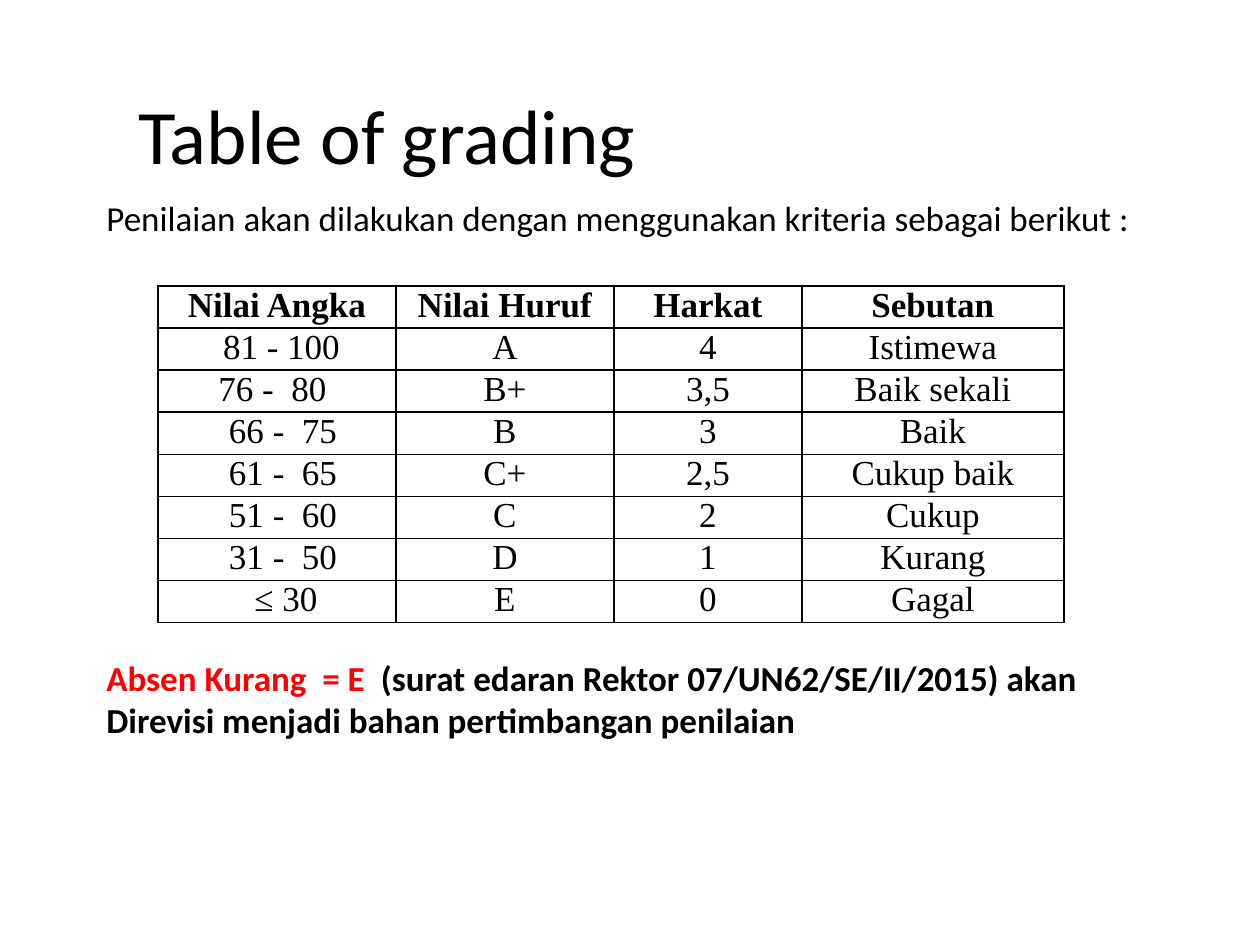
from lxml.etree import SubElement
from pptx import Presentation
from pptx.dml.color import RGBColor
from pptx.enum.text import MSO_ANCHOR as Anchor, PP_ALIGN as Align
from pptx.oxml.ns import qn
from pptx.util import Emu, Pt

PX = 914400 / 126
BLACK, RED = "000000", "FF0000"
INSET = 9
COLUMN_WIDTHS = [238, 218, 188, 262]
ROW_HEIGHT = 39

HEADER = ["Nilai Angka", "Nilai Huruf", "Harkat", "Sebutan"]
GRADES = [
    ["81 - 100", "A", "4", "Istimewa"],
    ["76 -  80", "B+", "3,5", "Baik sekali"],
    ["66 -  75", "B", "3", "Baik"],
    ["61 -  65", "C+", "2,5", "Cukup baik"],
    ["51 -  60", "C", "2", "Cukup"],
    ["31 -  50", "D", "1", "Kurang"],
    ["≤ 30", "E", "0", "Gagal"],
]
# Alignment, left indent and right indent of each score range
RANGE_LAYOUT = [
    (Align.CENTER, 9, 0),
    (Align.CENTER, 0, 9),
    *[(Align.LEFT, 62, 0)] * 4,
    (Align.CENTER, 18, 0),
]


def px(length):
    return Emu(round(length * PX))


def color(value):
    return RGBColor.from_string(value)


def style_font(font, size, name="Calibri", bold=False, fill=BLACK):
    font.size, font.name, font.bold = Pt(size), name, bold
    font.color.rgb = color(fill)


def add_text(slide, box, paragraphs, size, bold=False, spacing=None, anchor=Anchor.TOP):
    """Each paragraph is a list of (text, colour) runs."""
    frame = slide.shapes.add_textbox(*map(px, box)).text_frame
    frame.word_wrap = True
    frame.vertical_anchor = anchor
    for index, runs in enumerate(paragraphs):
        paragraph = frame.paragraphs[0] if index == 0 else frame.add_paragraph()
        paragraph.line_spacing = spacing
        for text, fill in runs:
            run = paragraph.add_run()
            run.text = text
            style_font(run.font, size, bold=bold, fill=fill)


def add_borders(cell):
    properties = cell._tc.get_or_add_tcPr()
    for index, side in enumerate(("lnL", "lnR", "lnT", "lnB")):
        line = SubElement(properties, qn(f"a:{side}"), w=str(Pt(1)))
        properties.insert(index, line)
        fill = SubElement(line, qn("a:solidFill"))
        SubElement(fill, qn("a:srgbClr"), val=BLACK)


def format_cell(cell, text, bold, layout):
    align, left, right = layout
    cell.margin_left, cell.margin_right = px(INSET + left), px(INSET + right)
    cell.margin_top = cell.margin_bottom = 0
    cell.fill.background()
    add_borders(cell)
    cell.text_frame.text = text
    paragraph = cell.text_frame.paragraphs[0]
    paragraph.alignment = align
    style_font(paragraph.runs[0].font, 20, "Times New Roman", bold)


def add_grading_table(slide, left, top):
    rows = [HEADER, *GRADES]
    table = slide.shapes.add_table(
        len(rows), len(HEADER), px(left), px(top),
        px(sum(COLUMN_WIDTHS)), px(ROW_HEIGHT * len(rows)),
    ).table
    table.first_row = table.horz_banding = False
    for column, width in zip(table.columns, COLUMN_WIDTHS):
        column.width = px(width)
    centered = (Align.CENTER, 0, 0)
    for r, values in enumerate(rows):
        table.rows[r].height = px(ROW_HEIGHT)
        for c, text in enumerate(values):
            layout = RANGE_LAYOUT[r - 1] if r and c == 0 else centered
            format_cell(table.cell(r, c), text, r == 0, layout)


def main():
    presentation = Presentation()
    presentation.slide_width, presentation.slide_height = px(1260), px(945)
    slide = presentation.slides.add_slide(presentation.slide_layouts[6])

    # Title and introduction
    add_text(slide, (126, 71, 1071, 126), [[("Table of grading", BLACK)]],
             44, anchor=Anchor.MIDDLE)
    intro = "Penilaian akan dilakukan dengan menggunakan kriteria sebagai berikut :"
    add_text(slide, (94, 198, 1097, 47), [[(intro, BLACK)]], 20, spacing=0.8)

    # Grades
    add_grading_table(slide, 158, 286)

    # Attendance note
    add_text(slide, (94, 650, 1131, 140), [
        [("Absen Kurang  = E  ", RED),
         ("(surat edaran Rektor 07/UN62/SE/II/2015) akan", BLACK)],
        [("Direvisi menjadi bahan pertimbangan penilaian", BLACK)],
    ], 20, bold=True)

    presentation.save("out.pptx")


if __name__ == "__main__":
    main()
